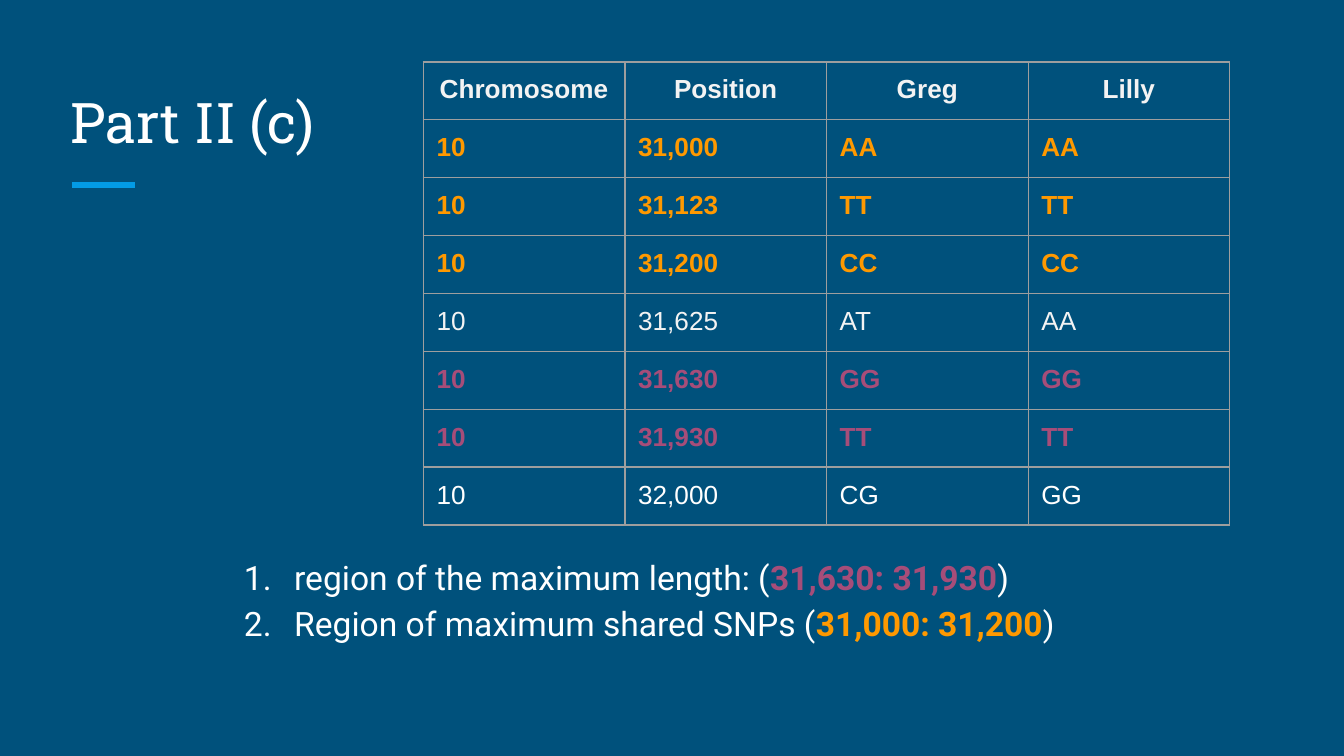
from lxml import etree
from pptx import Presentation
from pptx.dml.color import RGBColor
from pptx.enum.shapes import MSO_CONNECTOR
from pptx.enum.text import MSO_ANCHOR, PP_ALIGN
from pptx.oxml.ns import qn
from pptx.util import Cm, Pt

STRAIGHT = MSO_CONNECTOR.STRAIGHT
TOP, BOTTOM = MSO_ANCHOR.TOP, MSO_ANCHOR.BOTTOM
LEFT, CENTER = PP_ALIGN.LEFT, PP_ALIGN.CENTER

THEME = {
    "back": "00517C", "line": "039BE5", "grid": "9E9E9E",
    "white": "FFFFFF", "pale": "F3F3F3", "gold": "FF9900", "plum": "A64D79",
    "head": ("Roboto Slab", 30), "body": ("Roboto", 18), "cell": ("Arial", 14),
}

TITLE = "Part II (c)"
HEADS = ("Chromosome", "Position", "Greg", "Lilly")
ROWS = [
    ("gold", True, ("10", "31,000", "AA", "AA")),
    ("gold", True, ("10", "31,123", "TT", "TT")),
    ("gold", True, ("10", "31,200", "CC", "CC")),
    ("pale", False, ("10", "31,625", "AT", "AA")),
    ("plum", True, ("10", "31,630", "GG", "GG")),
    ("plum", True, ("10", "31,930", "TT", "TT")),
    ("white", False, ("10", "32,000", "CG", "GG")),
]
NOTES = [
    ("region of the maximum length: (", "31,630: 31,930", "plum"),
    ("Region of maximum shared SNPs (", "31,000: 31,200", "gold"),
]
INSET = Cm(0.25)


def tint(name):
    return RGBColor.from_string(THEME[name])


def write(para, text, style="body", color="white", bold=False, align=LEFT):
    para.alignment = align
    run = para.add_run()
    run.text = text
    font = run.font
    font.name, size = THEME[style]
    font.size = Pt(size)
    font.bold = bold
    font.color.rgb = tint(color)


def add_box(slide, place, anchor):
    frame = slide.shapes.add_textbox(*map(Cm, place)).text_frame
    frame.word_wrap = True
    frame.vertical_anchor = anchor
    frame.margin_left = frame.margin_right = INSET
    frame.margin_top = frame.margin_bottom = INSET
    return frame


def number(para):
    para.line_spacing = 1.15
    props = para._p.get_or_add_pPr()
    props.set("marL", str(Cm(1.27)))
    props.set("indent", str(-Cm(0.95)))
    shade = etree.SubElement(props, qn("a:buClr"))
    etree.SubElement(shade, qn("a:srgbClr"), val=THEME["white"])
    etree.SubElement(props, qn("a:buFont"), typeface=THEME["body"][0])
    etree.SubElement(props, qn("a:buAutoNum"), type="arabicPeriod")


def edge(cell):
    props = cell._tc.get_or_add_tcPr()
    for spot, side in enumerate("LRTB"):
        line = etree.Element(qn("a:ln" + side), w=str(Pt(0.75)))
        fill = etree.SubElement(line, qn("a:solidFill"))
        etree.SubElement(fill, qn("a:srgbClr"), val=THEME["grid"])
        props.insert(spot, line)


def add_grid(slide):
    rows = [("pale", True, HEADS)] + ROWS
    wide, high = Cm(3.81), Cm(1.06)
    table = slide.shapes.add_table(
        len(rows), len(HEADS), Cm(8), Cm(1.17),
        wide * len(HEADS), high * len(rows)).table
    table.first_row = table.horz_banding = False
    for row, (color, bold, texts) in enumerate(rows):
        table.rows[row].height = high
        for col, text in enumerate(texts):
            cell = table.cell(row, col)
            cell.margin_left = cell.margin_right = INSET
            cell.margin_top = cell.margin_bottom = INSET
            cell.fill.background()
            edge(cell)
            write(cell.text_frame.paragraphs[0], text, style="cell",
                  color=color, bold=bold, align=LEFT if row else CENTER)


def main():
    deck = Presentation()
    deck.slide_width, deck.slide_height = Cm(25.4), Cm(14.29)
    slide = deck.slides.add_slide(deck.slide_layouts[6])
    slide.background.fill.solid()
    slide.background.fill.fore_color.rgb = tint("back")

    rule = slide.shapes.add_connector(
        STRAIGHT, Cm(1.36), Cm(3.5), Cm(2.55), Cm(3.5))
    rule.line.color.rgb = tint("line")
    rule.line.width = Pt(3)
    etree.SubElement(rule._element.spPr, qn("a:effectLst"))

    title = add_box(slide, (1.08, 1.27, 23.24, 1.9), BOTTOM)
    write(title.paragraphs[0], TITLE, style="head")

    body = add_box(slide, (4.04, 10.16, 16.76, 3.56), TOP)
    for spot, (lead, span, color) in enumerate(NOTES):
        para = body.add_paragraph() if spot else body.paragraphs[0]
        number(para)
        write(para, lead)
        write(para, span, color=color, bold=True)
        write(para, ")")

    add_grid(slide)
    deck.save("out.pptx")


if __name__ == "__main__":
    main()
